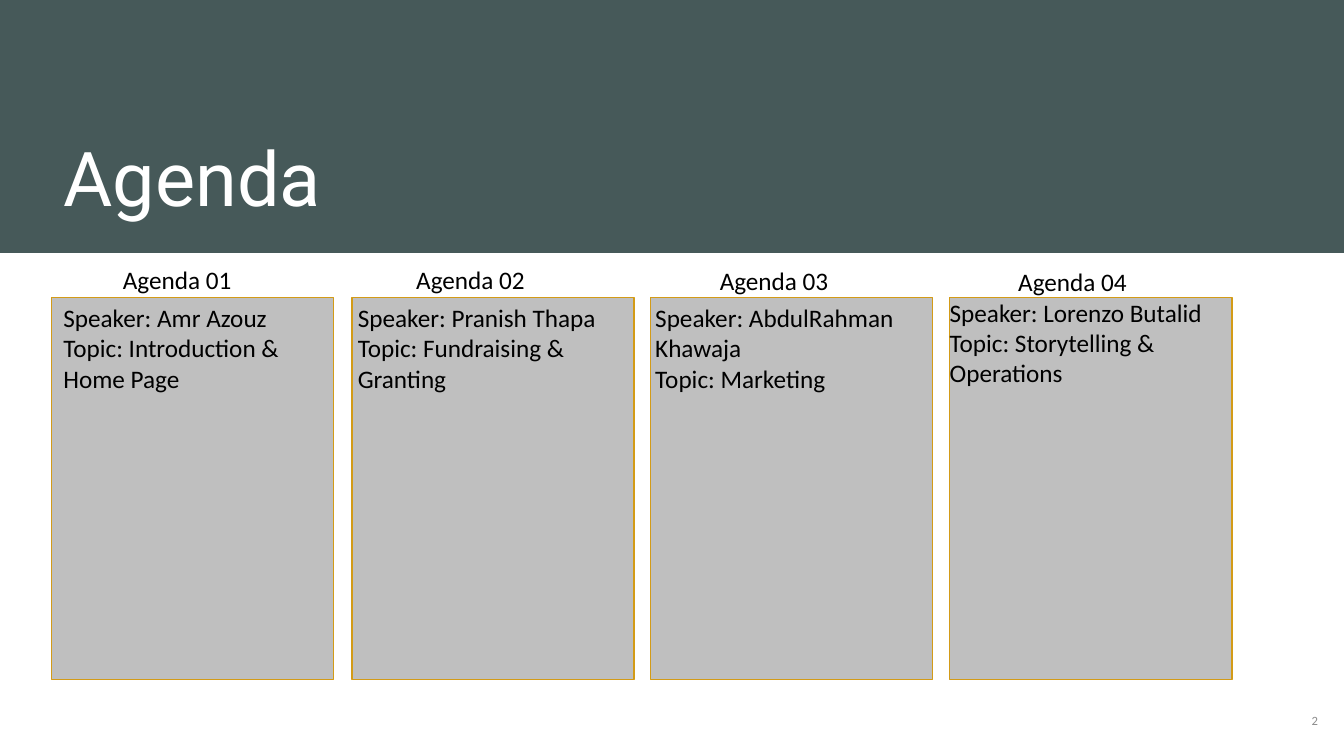
from dataclasses import dataclass

from pptx import Presentation
from pptx.dml.color import RGBColor
from pptx.enum.shapes import MSO_SHAPE
from pptx.enum.text import MSO_ANCHOR, MSO_AUTO_SIZE, PP_ALIGN
from pptx.util import Inches, Pt

TITLE = "Agenda"
PAGE_NUMBER = "2"

# Boxes are (left, top, width, height) in inches.
SESSIONS = [
    {"heading": "Agenda 01", "speaker": "Amr Azouz", "topic": "Introduction & Home Page",
     "card_left": 0.51, "heading_box": (1.12, 2.57, 1.57, 0.4),
     "detail_box": (0.53, 2.95, 2.75, 1.31)},
    {"heading": "Agenda 02", "speaker": "Pranish Thapa", "topic": "Fundraising & Granting",
     "card_left": 3.49, "heading_box": (4.03, 2.57, 1.62, 0.4),
     "detail_box": (3.45, 2.95, 3.01, 1.31)},
    {"heading": "Agenda 03", "speaker": "AbdulRahman Khawaja", "topic": "Marketing",
     "card_left": 6.45, "heading_box": (7.04, 2.58, 1.62, 0.4),
     "detail_box": (6.4, 2.95, 3.01, 1.31)},
    {"heading": "Agenda 04", "speaker": "Lorenzo Butalid", "topic": "Storytelling & Operations",
     "card_left": 9.42, "heading_box": (10, 2.59, 1.62, 0.4),
     "detail_box": (9.32, 2.9, 3.01, 1.62)},
]

SLIDE_SIZE = (13.33, 7.5)
BAND_BOX = (0, 0, SLIDE_SIZE[0], 2.51)
TITLE_BOX = (0.53, 0.4, 11.89, 1.85)
NUMBER_BOX = (11.77, 6.95, 1.4, 0.4)
CARD_TOP, CARD_WIDTH, CARD_HEIGHT = 2.95, 2.8, 3.79


@dataclass(frozen=True)
class Theme:
    band: str = "465959"
    card: str = "BFBFBF"
    border: str = "D39B17"
    title: tuple = ("Roboto", 54, "FFFFFF")
    body: tuple = ("Calibri", 18, "000000")
    number: tuple = ("Calibri", 9, "8C8C8C")


THEME = Theme()


def inches(box):
    return [Inches(value) for value in box]


def write(shape, text, style, alignment=PP_ALIGN.LEFT, anchor=MSO_ANCHOR.TOP):
    """Fill a shape with one paragraph; a vertical tab makes a line break."""
    name, size, color = style
    frame = shape.text_frame
    frame_format = {"word_wrap": True, "auto_size": MSO_AUTO_SIZE.NONE,
                    "vertical_anchor": anchor}
    for attribute, value in frame_format.items():
        setattr(frame, attribute, value)
    paragraph = frame.paragraphs[0]
    paragraph.text = text
    paragraph.alignment = alignment
    for run in paragraph.runs:
        for attribute, value in {"name": name, "size": Pt(size)}.items():
            setattr(run.font, attribute, value)
        run.font.color.rgb = RGBColor.from_string(color)


def add_text(slide, box, text, style, **layout):
    write(slide.shapes.add_textbox(*inches(box)), text, style, **layout)


def add_rectangle(slide, box, fill, border=None):
    shape = slide.shapes.add_shape(MSO_SHAPE.RECTANGLE, *inches(box))
    shape.shadow.inherit = False
    shape.fill.solid()
    shape.fill.fore_color.rgb = RGBColor.from_string(fill)
    if border:
        shape.line.color.rgb = RGBColor.from_string(border)
        shape.line.width = Pt(1)
    else:
        shape.line.fill.background()
    return shape


def add_header(slide):
    title = slide.shapes.title
    for attribute, value in zip(("left", "top", "width", "height"), inches(TITLE_BOX)):
        setattr(title, attribute, value)
    write(title, TITLE, THEME.title, anchor=MSO_ANCHOR.BOTTOM)
    band = add_rectangle(slide, BAND_BOX, THEME.band)
    title.element.addprevious(band.element)  # the band lies behind the title


def add_session(slide, session):
    card_box = (session["card_left"], CARD_TOP, CARD_WIDTH, CARD_HEIGHT)
    add_rectangle(slide, card_box, THEME.card, THEME.border)
    add_text(slide, session["heading_box"], session["heading"], THEME.body)
    details = f"Speaker: {session['speaker']}\vTopic: {session['topic']}"
    add_text(slide, session["detail_box"], details, THEME.body)


def main():
    presentation = Presentation()
    presentation.slide_width, presentation.slide_height = inches(SLIDE_SIZE)
    slide = presentation.slides.add_slide(presentation.slide_layouts.get_by_name("Title Only"))
    add_header(slide)
    for session in SESSIONS:
        add_session(slide, session)
    add_text(slide, NUMBER_BOX, PAGE_NUMBER, THEME.number,
             alignment=PP_ALIGN.RIGHT, anchor=MSO_ANCHOR.MIDDLE)
    presentation.save("out.pptx")


if __name__ == "__main__":
    main()
